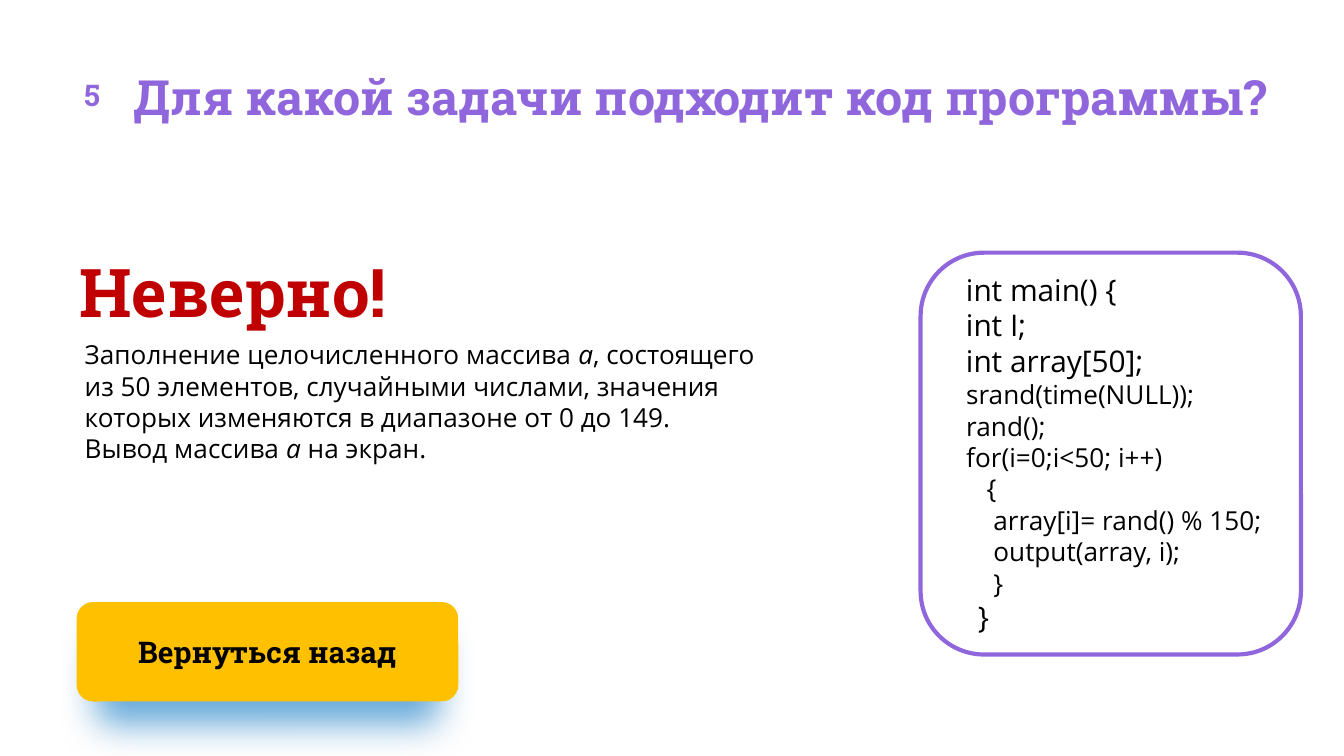
from dataclasses import dataclass

from lxml import etree
from pptx import Presentation
from pptx.dml.color import RGBColor
from pptx.enum.shapes import MSO_SHAPE as Shape
from pptx.enum.text import MSO_ANCHOR as Anchor, MSO_AUTO_SIZE as AutoSize, PP_ALIGN as Align
from pptx.oxml.ns import qn
from pptx.util import Inches, Pt


@dataclass(frozen=True)
class Theme:
    head_font: str = "Roboto Slab"
    body_font: str = "Open Sans"
    purple: str = "9066DC"
    red: str = "C00000"
    amber: str = "FFC000"
    blue: str = "0070C0"
    black: str = "000000"
    verdict: int = 36
    title: int = 26
    label: int = 16
    body: int = 14


THEME = Theme()

# Each code line: text, size, left indent in inches
CODE = [
    ("int main() {", THEME.label, 0.2),
    ("int I;", THEME.label, 0.2),
    ("int array[50];", THEME.label, 0.2),
    ("  srand(time(NULL));", THEME.body, 0.1),
    ("    rand();", THEME.body, 0),
    ("    for(i=0;i<50; i++)", THEME.body, 0),
    ("       {", THEME.body, 0),
    ("        array[i]= rand() % 150;", THEME.body, 0),
    ("        output(array, i);", THEME.body, 0),
    ("        }", THEME.body, 0),
    ("     }", THEME.label, 0),
]

# Text and whether it is italic
TASK = [
    ("Заполнение целочисленного массива ", False),
    ("а", True),
    (", состоящего из 50 элементов, случайными числами, значения "
     "которых изменяются в диапазоне от 0 до 149. Вывод массива ", False),
    ("а", True),
    (" на экран.", False),
]


def write(para, text, *, size, font=THEME.body_font, color=THEME.black, bold=False,
          italic=False, align=Align.LEFT, spacing=None, indent=0):
    """Append formatted text to a paragraph."""
    para.alignment = align
    if spacing:
        para.line_spacing = spacing
    if indent:
        para._p.get_or_add_pPr().set("marL", str(Inches(indent)))
    span = para.add_run()
    span.text = text
    span.font.name = font
    span.font.size = Pt(size)
    span.font.bold = bold
    span.font.italic = italic
    span.font.color.rgb = RGBColor.from_string(color)


def set_frame(box, anchor=Anchor.TOP, insets=(0, 0, 0, 0)):
    """Prepare the text frame and return its first paragraph."""
    frame = box.text_frame
    frame.word_wrap = True
    frame.auto_size = AutoSize.NONE
    frame.vertical_anchor = anchor
    sides = [Inches(inset) for inset in insets]
    frame.margin_left, frame.margin_top, frame.margin_right, frame.margin_bottom = sides
    return frame.paragraphs[0]


def add_text_box(slide, *place):
    return slide.shapes.add_textbox(*map(Inches, place))


def add_round_box(slide, *place, fill=None, line=None):
    box = slide.shapes.add_shape(Shape.ROUNDED_RECTANGLE, *map(Inches, place))
    box.shadow.inherit = False
    if fill:
        box.fill.solid()
        box.fill.fore_color.rgb = RGBColor.from_string(fill)
    else:
        box.fill.background()
    if line:
        box.line.color.rgb = RGBColor.from_string(line)
        box.line.width = Pt(2.25)
    else:
        box.line.fill.background()
    return box


def add_glow_below(box, color):
    """Cast a soft coloured shadow straight down."""
    effects = box._element.spPr.find(qn("a:effectLst"))
    shadow = etree.SubElement(
        effects, qn("a:outerShdw"), blurRad=str(Pt(20)), dist=str(Pt(15)),
        dir="5400000", sx="90000", sy="90000", algn="ctr", rotWithShape="0")
    tint = etree.SubElement(shadow, qn("a:srgbClr"), val=color)
    etree.SubElement(tint, qn("a:alpha"), val="60000")


def add_button(slide):
    button = add_round_box(slide, 0.57, 4.48, 2.84, 0.74, fill=THEME.amber)
    add_glow_below(button, THEME.blue)
    para = set_frame(button, Anchor.MIDDLE, (0.39, 0.2, 0.39, 0.2))
    write(para, "Вернуться назад", size=THEME.label, font=THEME.head_font,
          bold=True, align=Align.CENTER)


def add_heading(slide):
    title = slide.shapes.title
    title.left, title.top, title.width, title.height = map(Inches, (0.99, 0.47, 8.87, 0.44))
    write(set_frame(title), "Для какой задачи подходит код программы?", size=THEME.title,
          font=THEME.head_font, color=THEME.purple, bold=True, spacing=1.06)
    badge = add_round_box(slide, 0.39, 0.41, 0.59, 0.59)
    write(set_frame(badge, Anchor.MIDDLE), "5", size=THEME.label, font=THEME.head_font,
          color=THEME.purple, bold=True, align=Align.CENTER)


def add_verdict(slide):
    verdict = add_text_box(slide, 0.59, 1.83, 2.8, 0.61)
    write(set_frame(verdict), "Неверно!", size=THEME.verdict, font=THEME.head_font,
          color=THEME.red, bold=True, spacing=1.06)
    task = add_text_box(slide, 0.49, 2.52, 5.15, 0.94)
    para = set_frame(task, insets=(0.14, 0, 0, 0))
    for text, italic in TASK:
        write(para, text, size=THEME.body, italic=italic)


def add_code(slide):
    panel = add_round_box(slide, 6.85, 1.88, 2.83, 2.99, line=THEME.purple)
    para = set_frame(panel)
    for number, (text, size, indent) in enumerate(CODE):
        if number:
            para = panel.text_frame.add_paragraph()
        write(para, text, size=size, indent=indent)


def main():
    deck = Presentation()
    # Widescreen, 16 to 9
    deck.slide_width = Inches(10)
    deck.slide_height = deck.slide_width * 9 // 16
    title_only = deck.slide_layouts[5]
    slide = deck.slides.add_slide(title_only)

    # Question and its number
    add_heading(slide)
    # Verdict with the right task, and the code it belongs to
    add_verdict(slide)
    add_code(slide)
    # Way back
    add_button(slide)

    deck.save("out.pptx")


if __name__ == "__main__":
    main()
